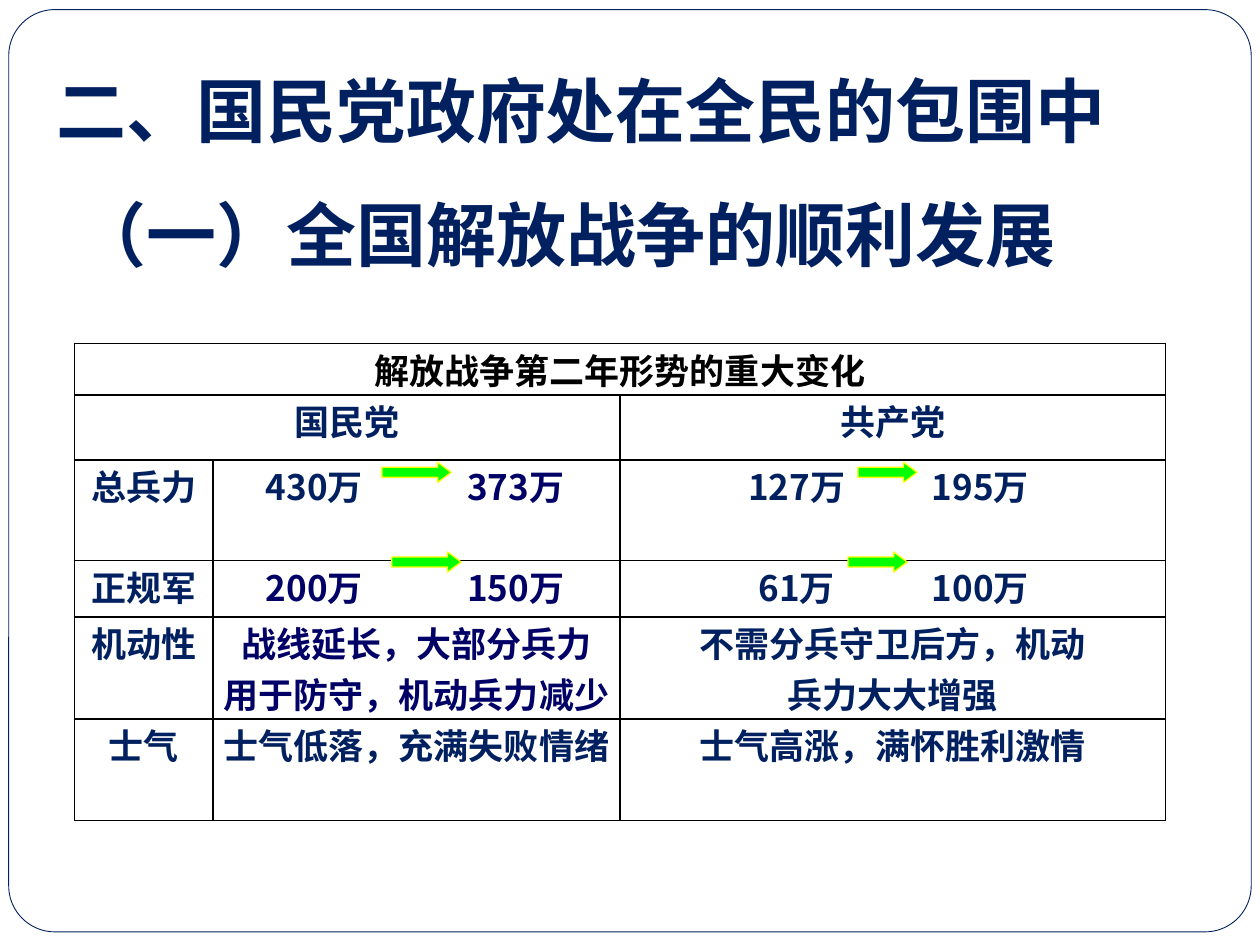
from pptx import Presentation
from pptx.dml.color import RGBColor
from pptx.enum.shapes import MSO_SHAPE
from pptx.enum.text import MSO_ANCHOR, PP_ALIGN
from pptx.oxml.ns import qn
from pptx.util import Pt
from lxml import etree

ROUNDED = MSO_SHAPE.ROUNDED_RECTANGLE
ARROW = MSO_SHAPE.RIGHT_ARROW
TOP, BOTTOM = MSO_ANCHOR.TOP, MSO_ANCHOR.BOTTOM
LEFT, CENTER = PP_ALIGN.LEFT, PP_ALIGN.CENTER

FONT = "Noto Sans CJK JP"
NAVY = RGBColor(0x00, 0x20, 0x60)
INDIGO = RGBColor(0x00, 0x00, 0x66)
BLACK = RGBColor(0x00, 0x00, 0x00)
WHITE = RGBColor(0xFF, 0xFF, 0xFF)
GREEN = RGBColor(0x00, 0xFF, 0x00)
YELLOW = RGBColor(0xFF, 0xFF, 0x00)

COLUMN_WIDTHS = (79.2, 232.5, 311.8)
ROW_HEIGHTS = (29.2, 37.2, 57.6, 32.2, 58.2, 58.2)
TAB_STOPS = {1: (53, 168), 2: (96, 201)}

ROWS = [
    [("解放战争第二年形势的重大变化", BLACK), None, None],
    [("国民党", NAVY), None, ("共产党", NAVY)],
    [("总兵力", NAVY), ("\t430万\t373万", NAVY), ("\t127万\t195万", NAVY)],
    [("正规军", NAVY), ("\t200万\t150万", INDIGO), ("\t61万\t100万", NAVY)],
    [("机动性", NAVY), ("战线延长，大部分兵力\n用于防守，机动兵力减少", INDIGO),
     ("不需分兵守卫后方，机动\n兵力大大增强", NAVY)],
    [("士气", NAVY), ("士气低落，充满失败情绪", NAVY), ("士气高涨，满怀胜利激情", NAVY)],
]

ARROWS = [
    (218.2, 264.2, 39.6),
    (223.9, 315.4, 39.6),
    (490.3, 264.2, 33.8),
    (484.6, 315.4, 33.8),
]


def style_paragraph(paragraph, size, color, alignment):
    """Give a paragraph its alignment and bold font for all scripts."""
    paragraph.alignment = alignment
    font = paragraph.font
    font.size, font.bold, font.name = Pt(size), True, FONT
    font.color.rgb = color
    properties = paragraph._p.pPr.find(qn("a:defRPr"))
    properties.find(qn("a:latin")).addnext(
        properties.makeelement(qn("a:ea"), {"typeface": FONT}))


def add_tab_stops(paragraph, positions):
    """Add centred tab stops to a paragraph."""
    tabs = etree.SubElement(paragraph._p.get_or_add_pPr(), qn("a:tabLst"))
    for position in positions:
        etree.SubElement(tabs, qn("a:tab"), pos=str(Pt(position)), algn="ctr")


def add_preset(slide, kind, box, fill, line, line_width, adjustments):
    """Add a filled and outlined preset shape."""
    shape = slide.shapes.add_shape(kind, *map(Pt, box))
    shape.shadow.inherit = False
    shape.fill.solid()
    shape.fill.fore_color.rgb = fill
    shape.line.color.rgb = line
    shape.line.width = Pt(line_width)
    for index, value in enumerate(adjustments):
        shape.adjustments[index] = value


def add_heading(slide, text, box, anchor, bottom_margin):
    """Add a large heading line."""
    frame = slide.shapes.add_textbox(*map(Pt, box)).text_frame
    frame.word_wrap = True
    frame.vertical_anchor = anchor
    frame.margin_bottom = Pt(bottom_margin)
    frame.text = text
    style_paragraph(frame.paragraphs[0], 40, NAVY, LEFT)


def format_cell(cell):
    """Clear the fill, set the margins and draw thin black borders."""
    cell.margin_left = cell.margin_right = Pt(5)
    cell.margin_top = cell.margin_bottom = 0
    properties = cell._tc.get_or_add_tcPr()
    for side in ("lnL", "lnR", "lnT", "lnB"):
        border = etree.SubElement(properties, qn(f"a:{side}"), w=str(Pt(1)))
        fill = etree.SubElement(border, qn("a:solidFill"))
        etree.SubElement(fill, qn("a:srgbClr"), val=str(BLACK))
    cell.fill.background()


def fill_cell(cell, text, color, tab_stops):
    """Write a cell, with tab stops where it holds two figures."""
    cell.text_frame.text = text
    tabbed = "\t" in text
    for paragraph in cell.text_frame.paragraphs:
        if tabbed:
            add_tab_stops(paragraph, tab_stops)
        style_paragraph(paragraph, 20, color, LEFT if tabbed else CENTER)


def add_comparison_table(slide):
    """Add the table that compares the two sides."""
    table = slide.shapes.add_table(
        len(ROWS), len(COLUMN_WIDTHS), Pt(42.5), Pt(196.4),
        Pt(sum(COLUMN_WIDTHS)), Pt(sum(ROW_HEIGHTS))).table
    table.first_row = table.horz_banding = False
    for column, width in zip(table.columns, COLUMN_WIDTHS):
        column.width = Pt(width)
    for row, height in zip(table.rows, ROW_HEIGHTS):
        row.height = Pt(height)
    for row_index, row in enumerate(ROWS):
        for column_index, content in enumerate(row):
            cell = table.cell(row_index, column_index)
            format_cell(cell)
            if content:
                fill_cell(cell, *content, TAB_STOPS.get(column_index))
    table.cell(0, 0).merge(table.cell(0, 2))
    table.cell(1, 0).merge(table.cell(1, 1))
    strength = table.cell(2, 1).text_frame.paragraphs[0]
    strength.runs[0].text = "\t430万\t"
    reduced = strength.add_run()
    reduced.text = "373万"
    reduced.font.color.rgb = INDIGO


def main():
    """Build and save the slide."""
    presentation = Presentation()
    presentation.slide_width, presentation.slide_height = Pt(720), Pt(540)
    slide = presentation.slides.add_slide(presentation.slide_layouts[6])
    add_preset(slide, ROUNDED, (5, 5.5, 710, 527), WHITE, NAVY, 0.5, [0.05])
    add_heading(slide, "二、国民党政府处在全民的包围中",
                (25.2, 20.9, 632.9, 72.7), BOTTOM, 7.2)
    add_comparison_table(slide)
    for left, top, width in ARROWS:
        add_preset(slide, ARROW, (left, top, width, 11.5),
                   GREEN, YELLOW, 0.75, [0.5, 0.67])
    add_heading(slide, "（一）全国解放战争的顺利发展",
                (36.7, 105.8, 629.3, 55.4), TOP, 3.6)
    presentation.save("out.pptx")


if __name__ == "__main__":
    main()
